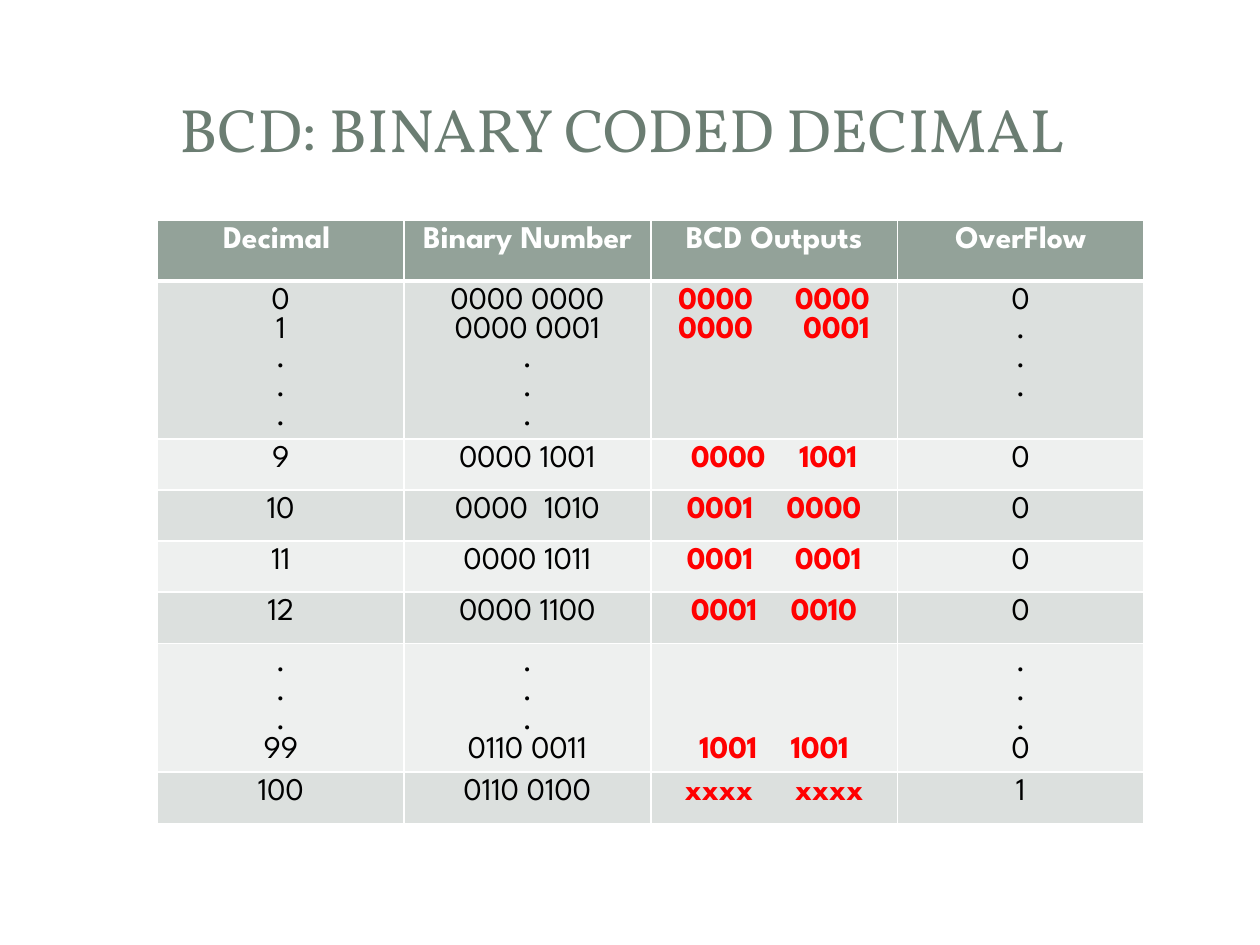
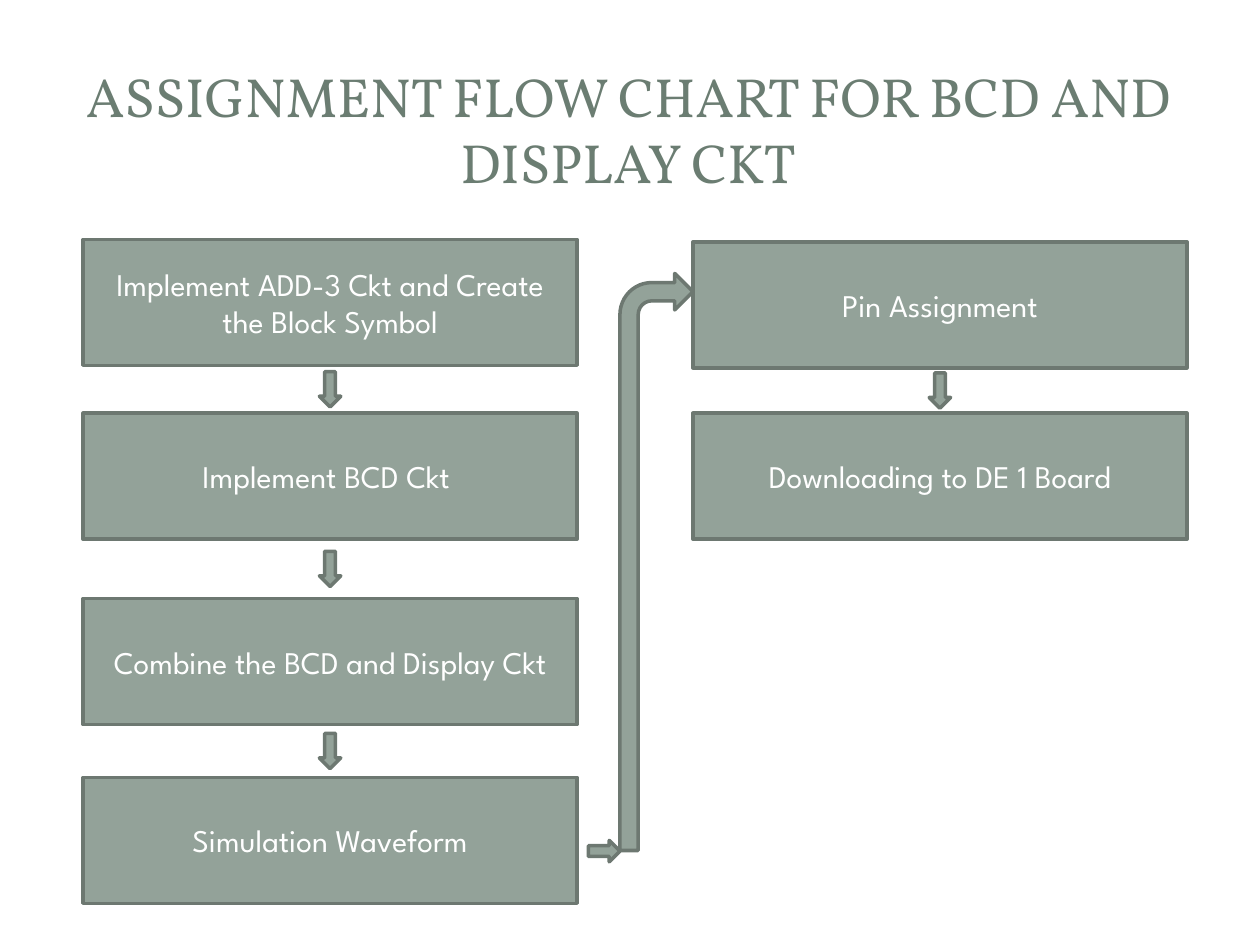
from itertools import pairwise

from lxml.etree import SubElement
from pptx import Presentation
from pptx.dml.color import RGBColor
from pptx.enum.shapes import MSO_SHAPE
from pptx.enum.text import MSO_ANCHOR, PP_ALIGN
from pptx.oxml.ns import qn
from pptx.util import Inches, Pt

SAGE = RGBColor(0x93, 0xA2, 0x99)
SAGE_OUTLINE = RGBColor(0x6D, 0x78, 0x71)
TITLE_GREEN = RGBColor(0x6B, 0x7D, 0x72)
BAND_DARK = RGBColor(0xDC, 0xE0, 0xDE)
BAND_LIGHT = RGBColor(0xEE, 0xF0, 0xEF)
WHITE = RGBColor(0xFF, 0xFF, 0xFF)
BLACK = RGBColor(0, 0, 0)
RED = RGBColor(0xFF, 0, 0)
TITLE_FONT = "Vollkorn"
BODY_FONT = "League Spartan"
BODY_SIZE = 18
SPACE_WIDTH = 4.8

PAGE_PANELS = [
    (MSO_SHAPE.ROUNDED_RECTANGLE, (0.1, 0.11, 9.8, 7.29), 100),
    (MSO_SHAPE.RECTANGLE, (0.3, 0.3, 9.4, 1.45), 83),
    (MSO_SHAPE.RECTANGLE, (0.41, 0.41, 9.17, 1.22), 100),
]
PANEL_ROUNDING = 0.02

TABLE_TITLE = "BCD: BINARY CODED DECIMAL "
FLOW_TITLE = "ASSIGNMENT FLOW CHART FOR BCD AND DISPLAY CKT"

HEADERS = ["Decimal ", "Binary Number", "BCD Outputs", "OverFlow"]
DOTS = [".", ".", "."]
ROWS = [
    (["0", "1", *DOTS], ["0000 0000", "0000 0001", *DOTS],
     [("0000", 5, "0000"), ("0000", 6, "0001")], ["0", *DOTS]),
    (["9"], ["0000 1001"], [("0000", 4, "1001")], ["0"]),
    (["10"], [("0000", 2, "1010")], [("0001", 4, "0000")], ["0"]),
    (["11"], ["0000 1011"], [("0001", 5, "0001")], ["0"]),
    (["12"], ["0000 1100"], [("0001", 4, "0010")], ["0"]),
    ([*DOTS, "99"], [*DOTS, "0110 0011"], [("1001", 4, "1001")], [*DOTS, "0"]),
    (["100"], ["0110 0100"], [("xxxx", 5, "xxxx")], ["1"]),
]
TABLE_LEFT, TABLE_TOP, TABLE_WIDTH = 1.25, 1.75, 7.83
HEADER_POINTS, MIN_ROW_POINTS = 34.5, 29.2
LINE_POINTS, CELL_MARGIN_POINTS = 16.6, 7.2
BCD_COLUMN = 2
LAST_DOTTED_ROW = 6

STEP_WIDTH, STEP_HEIGHT = 3.92, 1
FLOW_COLUMNS = [
    (0.66, [
        (1.9, "Implement ADD-3 Ckt and Create the Block Symbol"),
        (3.28, "Implement BCD Ckt "),
        (4.75, "Combine the BCD and Display Ckt"),
        (6.17, "Simulation Waveform"),
    ]),
    (5.5, [
        (1.92, "Pin Assignment"),
        (3.28, "Downloading to DE 1 Board"),
    ]),
]
ARROW_WIDTH, ARROW_HEIGHT = 0.17, 0.28
COLUMN_LINKS = [
    (MSO_SHAPE.BENT_ARROW, 4.92, 2.17, 0.58, 4.58),
    (MSO_SHAPE.RIGHT_ARROW, 4.67, 6.67, 0.25, 0.17),
]


def style_paragraph(para, font, size, color, bold=False):
    para.alignment = PP_ALIGN.CENTER
    for span in para.runs:
        span.font.name = font
        span.font.size = Pt(size)
        span.font.color.rgb = color
        span.font.bold = bold


def write_centred(box, text, font, size, color):
    frame = box.text_frame
    frame.word_wrap = True
    frame.vertical_anchor = MSO_ANCHOR.MIDDLE
    frame.text = text
    style_paragraph(frame.paragraphs[0], font, size, color)


def add_filled_shape(page, kind, place, color):
    shape = page.shapes.add_shape(kind, *map(Inches, place))
    shape.shadow.inherit = False
    shape.fill.solid()
    shape.fill.fore_color.rgb = color
    return shape


def add_page(deck, title, size):
    page = deck.slides.add_slide(deck.slide_layouts[6])
    for kind, place, opacity in PAGE_PANELS:
        panel = add_filled_shape(page, kind, place, WHITE)
        panel.line.fill.background()
        if kind == MSO_SHAPE.ROUNDED_RECTANGLE:
            panel.adjustments[0] = PANEL_ROUNDING
        if opacity < 100:
            color = panel._element.spPr.find(qn("a:solidFill"))[0]
            SubElement(color, qn("a:alpha"), val=str(opacity * 1000))
    box = page.shapes.add_textbox(Inches(0.47), Inches(0.45), Inches(9.03), Inches(1.14))
    write_centred(box, title, TITLE_FONT, size, TITLE_GREEN)
    return page


def write_line(para, line):
    if isinstance(line, str):
        para.text = line
        return
    high, gap, low = line
    for text in (high, " ", low):
        para.add_run().text = text
    space = para.runs[1].font
    space._element.set("spc", str(round((gap - 1) * SPACE_WIDTH * 100)))


def add_borders(cell, row):
    properties = cell._tc.get_or_add_tcPr()
    widths = {"L": 1, "R": 1, "T": 3 if row == 1 else 1, "B": 3 if row == 0 else 1}
    for side, width in widths.items():
        border = SubElement(properties, qn(f"a:ln{side}"), w=str(Pt(width)))
        fill = SubElement(border, qn("a:solidFill"))
        SubElement(fill, qn("a:srgbClr"), val=str(WHITE))


def fill_cell(cell, lines, row, column):
    add_borders(cell, row)
    cell.fill.solid()
    if row == 0:
        cell.fill.fore_color.rgb, color = SAGE, WHITE
    else:
        cell.fill.fore_color.rgb = BAND_DARK if row % 2 else BAND_LIGHT
        color = RED if column == BCD_COLUMN else BLACK
    frame = cell.text_frame
    for index, line in enumerate(lines):
        para = frame.add_paragraph() if index else frame.paragraphs[0]
        write_line(para, line)
        para.line_spacing = Pt(LINE_POINTS)
        style_paragraph(para, BODY_FONT, BODY_SIZE, color, color != BLACK)


def row_points(row, cells):
    if row == 0:
        return HEADER_POINTS
    line_count = max(map(len, cells))
    return max(MIN_ROW_POINTS, line_count * LINE_POINTS + CELL_MARGIN_POINTS)


def build_table_page(deck):
    page = add_page(deck, TABLE_TITLE, 35)
    rows = [[[header] for header in HEADERS], *ROWS]
    heights = [row_points(row, cells) for row, cells in enumerate(rows)]
    table = page.shapes.add_table(
        len(rows), len(HEADERS), Inches(TABLE_LEFT), Inches(TABLE_TOP),
        Inches(TABLE_WIDTH), Pt(sum(heights)),
    ).table
    for column in table.columns:
        column.width = Inches(TABLE_WIDTH / len(HEADERS))
    for row, (height, cells) in enumerate(zip(heights, rows)):
        table.rows[row].height = Pt(height)
        for column, lines in enumerate(cells):
            fill_cell(table.cell(row, column), lines, row, column)
    table.cell(LAST_DOTTED_ROW, BCD_COLUMN).vertical_anchor = MSO_ANCHOR.BOTTOM


def add_sage_shape(page, kind, *place):
    shape = add_filled_shape(page, kind, place, SAGE)
    shape.line.color.rgb = SAGE_OUTLINE
    shape.line.width = Pt(2)
    return shape


def build_flow_page(deck):
    page = add_page(deck, FLOW_TITLE, 31.5)
    for left, steps in FLOW_COLUMNS:
        for top, text in steps:
            step = add_sage_shape(page, MSO_SHAPE.RECTANGLE, left, top, STEP_WIDTH, STEP_HEIGHT)
            write_centred(step, text, BODY_FONT, BODY_SIZE, WHITE)
        arrow_left = left + (STEP_WIDTH - ARROW_WIDTH) / 2
        for (upper, _), (lower, _) in pairwise(steps):
            arrow_top = (upper + STEP_HEIGHT + lower - ARROW_HEIGHT) / 2
            add_sage_shape(page, MSO_SHAPE.DOWN_ARROW, arrow_left, arrow_top, ARROW_WIDTH, ARROW_HEIGHT)
    for kind, *place in COLUMN_LINKS:
        add_sage_shape(page, kind, *place)


def main():
    deck = Presentation()
    deck.slide_width, deck.slide_height = Inches(10), Inches(7.5)
    build_table_page(deck)
    build_flow_page(deck)
    deck.save("out.pptx")


if __name__ == "__main__":
    main()
